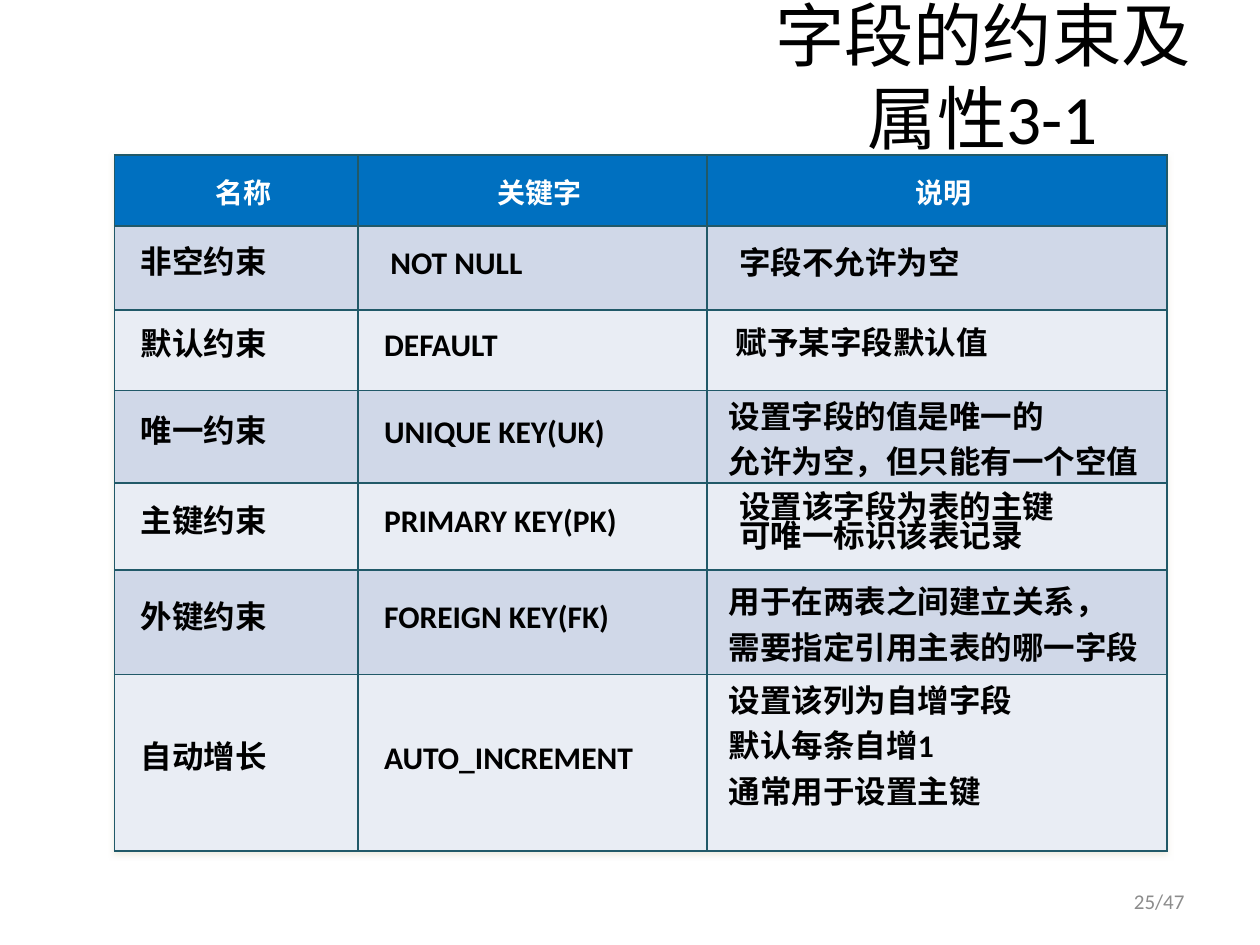
from dataclasses import dataclass

from lxml.etree import SubElement
from pptx import Presentation
from pptx.dml.color import RGBColor
from pptx.enum.text import MSO_ANCHOR, MSO_AUTO_SIZE, PP_ALIGN
from pptx.oxml import parse_xml
from pptx.oxml.ns import qn
from pptx.util import Pt

BLACK = RGBColor(0x00, 0x00, 0x00)
WHITE = RGBColor(0xFF, 0xFF, 0xFF)
GRAY = RGBColor(0x8C, 0x8C, 0x8C)
HEADER_BLUE = RGBColor(0x00, 0x70, 0xC0)
BANDS = (RGBColor(0xD0, 0xD8, 0xE8), RGBColor(0xE9, 0xED, 0xF4))
BORDER = RGBColor(0x21, 0x59, 0x68)
FONT = "Calibri"
COLUMN_WIDTHS = (139, 199.5, 262.8)
HEADERS = ("名称", "关键字", "说明")
HEADER_HEIGHT = 40.5

# Cell insets in points: left, top, right, bottom
WIDE = (8.6, 0.7, 0.7, 0)
NARROW = (5, 0, 5, 0)
SHIFTED = (6.6, 0, 2.9, 1.4)
BLOCK = (12.6, 0.7, 0.7, 0)


@dataclass(frozen=True)
class Constraint:
    name: str
    keyword: str
    meaning: tuple[str, ...]
    height: float
    keyword_insets: tuple = NARROW
    meaning_insets: tuple = BLOCK
    tight_meaning: bool = False
    meaning_anchor: MSO_ANCHOR = MSO_ANCHOR.MIDDLE


CONSTRAINTS = (
    Constraint("非空约束", "NOT NULL", ("字段不允许为空",), 48,
               keyword_insets=WIDE, meaning_insets=WIDE, tight_meaning=True),
    Constraint("默认约束", "DEFAULT", ("赋予某字段默认值",), 46,
               meaning_insets=SHIFTED, tight_meaning=True),
    Constraint("唯一约束", "UNIQUE KEY(UK)",
               ("设置字段的值是唯一的", "允许为空，但只能有一个空值"), 52.5),
    Constraint("主键约束", "PRIMARY KEY(PK)",
               ("设置该字段为表的主键", "可唯一标识该表记录"), 50,
               meaning_insets=WIDE, tight_meaning=True),
    Constraint("外键约束", "FOREIGN KEY(FK)",
               ("用于在两表之间建立关系，", "需要指定引用主表的哪一字段"), 59.5),
    Constraint("自动增长", "AUTO_INCREMENT",
               ("设置该列为自增字段", "默认每条自增1", "通常用于设置主键"), 101,
               meaning_anchor=MSO_ANCHOR.TOP),
)


def format_font(r, size: float, color: RGBColor, bold: bool = False) -> None:
    for key, value in {"name": FONT, "size": Pt(size), "bold": bold}.items():
        setattr(r.font, key, value)
    r.font.color.rgb = color


def place(s, left: float, top: float, width: float, height: float) -> None:
    box = {"left": left, "top": top, "width": width, "height": height}
    for key, value in box.items():
        setattr(s, key, Pt(value))


def write_line(s, text: str, align: PP_ALIGN, size: float, color: RGBColor) -> None:
    tf = s.text_frame
    frame = {"word_wrap": True, "auto_size": MSO_AUTO_SIZE.NONE,
             "vertical_anchor": MSO_ANCHOR.MIDDLE}
    for key, value in frame.items():
        setattr(tf, key, value)
    p = tf.paragraphs[0]
    p.alignment = align
    r = p.add_run()
    r.text = text
    format_font(r, size, color)


def draw_borders(cell) -> None:
    tc_pr = cell._tc.get_or_add_tcPr()
    for side in ("lnL", "lnR", "lnT", "lnB"):
        ln = SubElement(tc_pr, qn(f"a:{side}"), w=str(int(Pt(1))))
        fill = SubElement(ln, qn("a:solidFill"))
        SubElement(fill, qn("a:srgbClr"), val=str(BORDER))


def fill_cell(cell, lines: tuple[str, ...], fill: RGBColor, insets: tuple,
              size: float = 18, color: RGBColor = BLACK, tight: bool = True,
              align: PP_ALIGN = PP_ALIGN.JUSTIFY,
              anchor: MSO_ANCHOR = MSO_ANCHOR.MIDDLE) -> None:
    """Write bold lines; tight lines have exact spacing and a first-line indent."""
    draw_borders(cell)
    cell.fill.solid()
    cell.fill.fore_color.rgb = fill
    cell.vertical_anchor = anchor
    left, top, right, bottom = map(Pt, insets)
    margins = {"margin_left": left, "margin_top": top,
               "margin_right": right, "margin_bottom": bottom}
    for key, value in margins.items():
        setattr(cell, key, value)
    tf = cell.text_frame
    for i, line in enumerate(lines):
        p = tf.add_paragraph() if i else tf.paragraphs[0]
        p.alignment = align
        if tight:
            p.line_spacing = Pt(17)
            p._p.get_or_add_pPr().set("indent", str(int(Pt(10))))
        r = p.add_run()
        r.text = line
        format_font(r, size, color, bold=True)


def add_table_shadow(table) -> None:
    table._tbl.tblPr.insert(0, parse_xml(
        '<a:effectLst xmlns:a="http://schemas.openxmlformats.org/drawingml/2006/main">'
        '<a:outerShdw blurRad="40000" dist="20000" dir="5400000" rotWithShape="0">'
        '<a:srgbClr val="EEECE1"/></a:outerShdw></a:effectLst>'))


def add_constraint_table(slide) -> None:
    heights = (HEADER_HEIGHT, *(c.height for c in CONSTRAINTS))
    table = slide.shapes.add_table(
        len(heights), len(COLUMN_WIDTHS), Pt(65.5), Pt(88.6),
        Pt(sum(COLUMN_WIDTHS)), Pt(sum(heights))).table
    add_table_shadow(table)
    for column, width in zip(table.columns, COLUMN_WIDTHS):
        column.width = Pt(width)
    for row, height in zip(table.rows, heights):
        row.height = Pt(height)

    for col, header in enumerate(HEADERS):
        fill_cell(table.cell(0, col), (header,), HEADER_BLUE, WIDE, size=16,
                  color=WHITE, tight=False, align=PP_ALIGN.CENTER)
    for row, c in enumerate(CONSTRAINTS, start=1):
        band = BANDS[(row - 1) % 2]
        fill_cell(table.cell(row, 0), (c.name,), band, NARROW)
        fill_cell(table.cell(row, 1), (c.keyword,), band, c.keyword_insets)
        fill_cell(table.cell(row, 2), c.meaning, band, c.meaning_insets,
                  tight=c.tight_meaning, anchor=c.meaning_anchor,
                  align=PP_ALIGN.JUSTIFY if c.tight_meaning else PP_ALIGN.LEFT)


def main() -> None:
    prs = Presentation()
    prs.slide_width, prs.slide_height = Pt(720), Pt(540)
    slide = prs.slides.add_slide(prs.slide_layouts[5])

    title = slide.shapes.title
    place(title, 417, 22.3, 289.4, 41)
    write_line(title, "字段的约束及属性3-1", PP_ALIGN.CENTER, 39.6, BLACK)

    page = slide.shapes.add_textbox(Pt(516), Pt(500.5), Pt(168), Pt(28.8))
    write_line(page, "25/47", PP_ALIGN.RIGHT, 12, GRAY)

    add_constraint_table(slide)
    prs.save("out.pptx")


if __name__ == "__main__":
    main()
